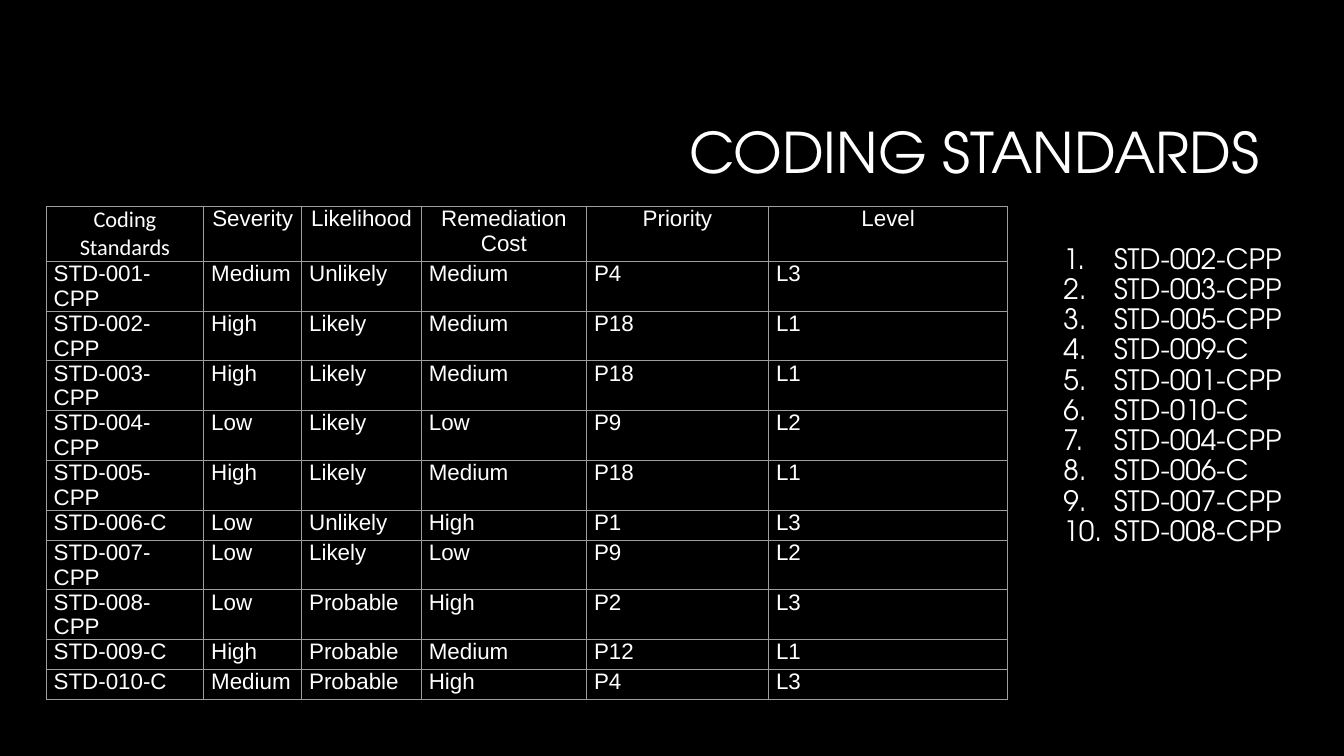
from dataclasses import dataclass

from lxml import etree
from pptx import Presentation
from pptx.dml.color import RGBColor
from pptx.enum.text import MSO_ANCHOR, MSO_AUTO_SIZE, PP_ALIGN
from pptx.oxml.ns import qn
from pptx.util import Pt

LEFT, CENTER, RIGHT = PP_ALIGN.LEFT, PP_ALIGN.CENTER, PP_ALIGN.RIGHT
TOP, MIDDLE = MSO_ANCHOR.TOP, MSO_ANCHOR.MIDDLE
NO_AUTOFIT = MSO_AUTO_SIZE.NONE


@dataclass(frozen=True)
class Theme:
    background: str = "000000"
    text: str = "FFFFFF"
    border: str = "9E9E9E"
    display_font: str = "TeX Gyre Adventor"
    table_font: str = "Arial"
    corner_font: str = "Calibri"
    title_size: int = 40
    list_size: int = 20
    table_size: int = 16
    border_width: float = 0.75
    line_spacing: float = 0.9


class SlideBuilder:
    def __init__(self, slide, theme):
        self.slide = slide
        self.theme = theme
        self.paint(slide.background.fill, theme.background)

    def paint(self, fill, color):
        fill.solid()
        fill.fore_color.rgb = RGBColor.from_string(color)

    def style(self, paragraph, font_name, size, align=LEFT):
        paragraph.alignment = align
        for run in paragraph.runs:
            run.font.name = font_name
            run.font.size = Pt(size)
            run.font.bold = False
            run.font.color.rgb = RGBColor.from_string(self.theme.text)

    def title(self, text, left, top, width, height):
        heading = self.slide.shapes.title
        heading.left, heading.top = Pt(left), Pt(top)
        heading.width, heading.height = Pt(width), Pt(height)
        frame = heading.text_frame
        frame.text = text
        frame.word_wrap = True
        frame.auto_size = NO_AUTOFIT
        frame.vertical_anchor = MIDDLE
        line = frame.paragraphs[0]
        line.line_spacing = self.theme.line_spacing
        self.style(line, self.theme.display_font, self.theme.title_size, RIGHT)

    def border(self, cell):
        properties = cell._tc.get_or_add_tcPr()
        for side in ("a:lnL", "a:lnR", "a:lnT", "a:lnB"):
            edge = etree.SubElement(properties, qn(side), w=str(Pt(self.theme.border_width)))
            fill = etree.SubElement(edge, qn("a:solidFill"))
            etree.SubElement(fill, qn("a:srgbClr"), val=self.theme.border)

    def table(self, rows, left, top, column_widths, row_heights):
        table = self.slide.shapes.add_table(
            len(rows), len(column_widths), Pt(left), Pt(top),
            Pt(sum(column_widths)), Pt(sum(row_heights))).table
        table.first_row = table.horz_banding = False
        for column, width in zip(table.columns, column_widths):
            column.width = Pt(width)
        for row_index, (values, height) in enumerate(zip(rows, row_heights)):
            table.rows[row_index].height = Pt(height)
            for column_index, value in enumerate(values):
                cell = table.cell(row_index, column_index)
                self.border(cell)
                self.paint(cell.fill, self.theme.background)
                cell.margin_left = cell.margin_right = Pt(5.4)
                cell.margin_top = cell.margin_bottom = 0
                cell.vertical_anchor = TOP
                cell.text_frame.text = value
                is_corner = row_index == column_index == 0
                self.style(cell.text_frame.paragraphs[0],
                           self.theme.corner_font if is_corner else self.theme.table_font,
                           self.theme.table_size, LEFT if row_index else CENTER)

    def numbered_list(self, items, left, top, width, height, indent):
        frame = self.slide.shapes.add_textbox(
            Pt(left), Pt(top), Pt(width), Pt(height)).text_frame
        frame.word_wrap = True
        frame.text = "\n".join(items)
        for item in frame.paragraphs:
            item.line_spacing = self.theme.line_spacing
            properties = item._p.get_or_add_pPr()
            properties.set("marL", str(Pt(indent)))
            properties.set("indent", str(-Pt(indent)))
            color = etree.SubElement(properties, qn("a:buClr"))
            etree.SubElement(color, qn("a:srgbClr"), val=self.theme.text)
            etree.SubElement(properties, qn("a:buFont"), typeface=self.theme.display_font)
            etree.SubElement(properties, qn("a:buAutoNum"), type="arabicPeriod")
            self.style(item, self.theme.display_font, self.theme.list_size)


HEADER = ("Coding Standards", "Severity", "Likelihood", "Remediation Cost", "Priority", "Level")
STANDARDS = [
    ("STD-001-CPP", "Medium", "Unlikely", "Medium", "P4", "L3"),
    ("STD-002-CPP", "High", "Likely", "Medium", "P18", "L1"),
    ("STD-003-CPP", "High", "Likely", "Medium", "P18", "L1"),
    ("STD-004-CPP", "Low", "Likely", "Low", "P9", "L2"),
    ("STD-005-CPP", "High", "Likely", "Medium", "P18", "L1"),
    ("STD-006-C", "Low", "Unlikely", "High", "P1", "L3"),
    ("STD-007-CPP", "Low", "Likely", "Low", "P9", "L2"),
    ("STD-008-CPP", "Low", "Probable", "High", "P2", "L3"),
    ("STD-009-C", "High", "Probable", "Medium", "P12", "L1"),
    ("STD-010-C", "Medium", "Probable", "High", "P4", "L3"),
]
RANKING = [
    "STD-002-CPP", "STD-003-CPP", "STD-005-CPP", "STD-009-C", "STD-001-CPP",
    "STD-010-C", "STD-004-CPP", "STD-006-C", "STD-007-CPP", "STD-008-CPP",
]
COLUMN_WIDTHS = (112.5, 70, 85.5, 118, 130, 171)
ONE_LINE, TWO_LINES = 21.3, 35.5


def main():
    deck = Presentation()
    deck.slide_width, deck.slide_height = Pt(960), Pt(540)
    title_only = deck.slide_layouts[5]
    builder = SlideBuilder(deck.slides.add_slide(title_only), Theme())

    # Title
    builder.title("CODING STANDARDS", 228, 60.5, 678.5, 101.5)

    # Risk table: the longer CPP names wrap onto a second line
    rows = [HEADER] + STANDARDS
    row_heights = [ONE_LINE if row[0].endswith("-C") else TWO_LINES for row in rows]
    builder.table(rows, 33, 147.5, COLUMN_WIDTHS, row_heights)

    # Standards in order of priority
    builder.numbered_list(RANKING, 752.5, 171.5, 174.5, 330.5, indent=36)

    deck.save("out.pptx")


if __name__ == "__main__":
    main()
